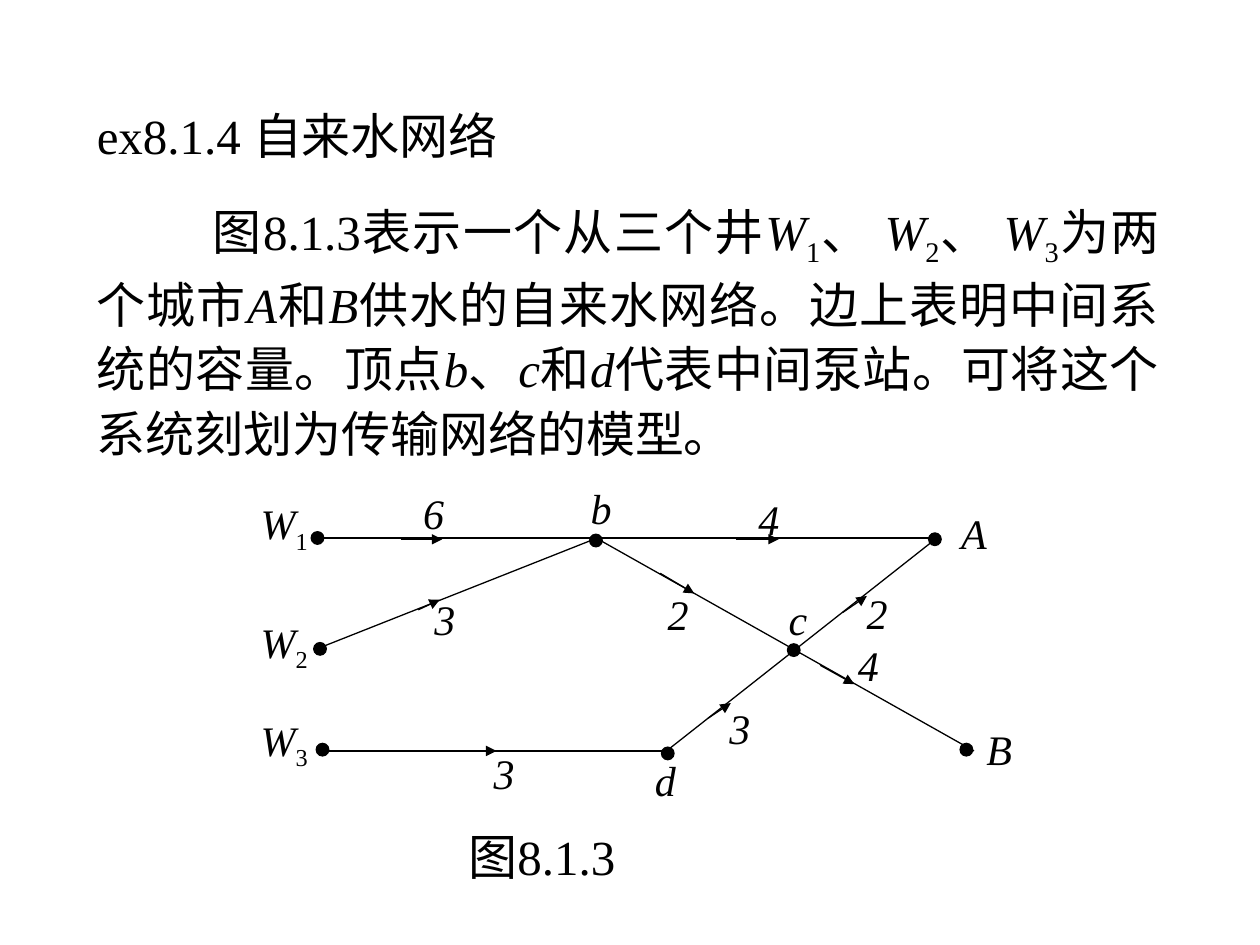
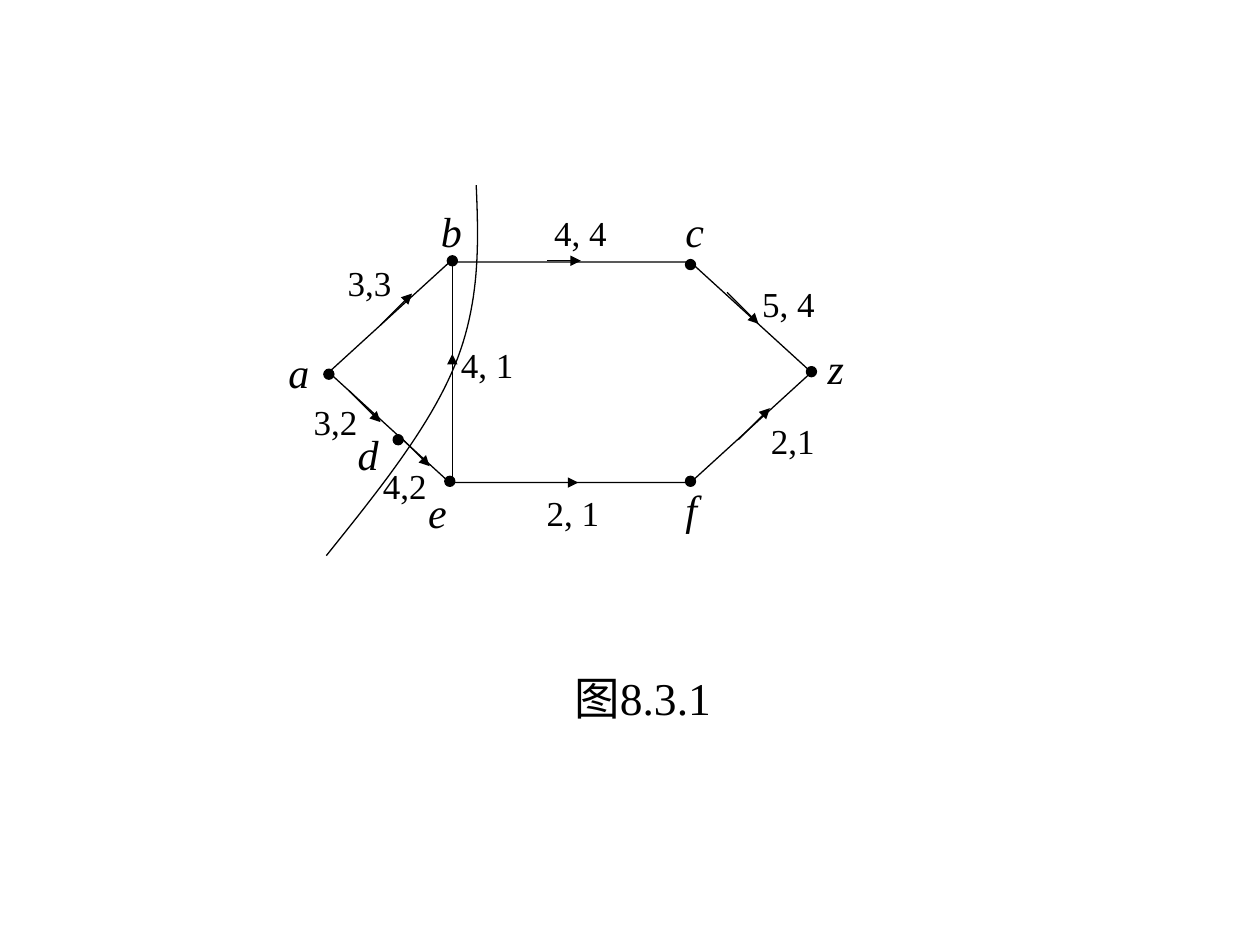
from dataclasses import dataclass

from lxml.etree import SubElement
from pptx import Presentation
from pptx.dml.color import RGBColor
from pptx.enum.shapes import MSO_CONNECTOR as Link, MSO_SHAPE as Kind
from pptx.enum.text import MSO_AUTO_SIZE as Fit, PP_ALIGN as Align
from pptx.oxml.ns import qn
from pptx.util import Inches, Pt


@dataclass(frozen=True)
class Theme:
    ink: RGBColor = RGBColor(0, 0, 0)
    paper: RGBColor = RGBColor(255, 255, 255)
    font: str = "Times New Roman"
    body: int = 28
    small: int = 26
    node: int = 24
    flow: int = 20
    rule: float = 0.75


class Board:
    def __init__(self, deck, theme):
        self.theme = theme
        self.slide = deck.slides.add_slide(deck.slide_layouts[6])
        back = self.slide.background.fill
        back.solid()
        back.fore_color.rgb = theme.paper

    def pen(self, line):
        line.color.rgb = self.theme.ink
        line.width = Pt(self.theme.rule)

    def line(self, x1, y1, x2, y2, arrow=False):
        link = self.slide.shapes.add_connector(
            Link.STRAIGHT, Inches(x1), Inches(y1), Inches(x2), Inches(y2))
        self.pen(link.line)
        if arrow:
            SubElement(link.line._get_or_add_ln(), qn("a:tailEnd"), type="triangle")
        SubElement(link._element.spPr, qn("a:effectLst"))

    def shape(self, kind, x, y, wide, high, solid=False):
        item = self.slide.shapes.add_shape(
            kind, Inches(x), Inches(y), Inches(wide), Inches(high))
        item.shadow.inherit = False
        if solid:
            item.fill.solid()
            item.fill.fore_color.rgb = self.theme.ink
        else:
            item.fill.background()
        self.pen(item.line)
        return item

    def dots(self, spots, size):
        for x, y in spots:
            self.shape(Kind.OVAL, x, y, size, size, solid=True)

    def curve(self, start, bends, steps=24):
        spots = [start]
        for a, b, c in bends:
            o = spots[-1]
            for step in range(1, steps + 1):
                t = step / steps
                u = 1 - t
                spots.append(tuple(
                    u**3 * o[i] + 3 * u * u * t * a[i] + 3 * u * t * t * b[i] + t**3 * c[i]
                    for i in (0, 1)))
        spots = [(Inches(x), Inches(y)) for x, y in spots]
        path = self.slide.shapes.build_freeform(*spots[0])
        path.add_line_segments(spots[1:], close=False)
        item = path.convert_to_shape()
        item.shadow.inherit = False
        item.fill.background()
        self.pen(item.line)

    def fill(self, para, text, size):
        for part in text.split("|"):
            run = para.add_run()
            run.text = part.lstrip("*~")
            run.font.name = self.theme.font
            run.font.size = Pt(size)
            run.font.color.rgb = self.theme.ink
            run.font.italic = part.startswith("*")
            if part.startswith("~"):
                run.font._element.set("baseline", "-25000")

    def text(self, text, x, y, wide, high, size, wrap=False):
        box = self.slide.shapes.add_textbox(
            Inches(x), Inches(y), Inches(wide), Inches(high))
        frame = box.text_frame
        frame.word_wrap = wrap
        frame.auto_size = Fit.SHAPE_TO_FIT_TEXT
        self.fill(frame.paragraphs[0], text, size)
        return frame

    def prose(self, head, body, x, y, wide, high):
        size = self.theme.body
        frame = self.text(head, x, y, wide, high, size, wrap=True)
        para = frame.add_paragraph()
        self.fill(para, body, size)
        para.space_before = Pt(17.5)
        para._p.get_or_add_pPr().set("indent", str(Inches(0.92)))
        for para in frame.paragraphs:
            para.alignment = Align.JUSTIFY
            para.line_spacing = 1.1
            para._p.get_or_add_pPr().set("hangingPunct", "0")

    def names(self, marks):
        for name, x, y, wide in marks:
            self.text("*" + name, x, y, wide, 0.5, self.theme.node)


def water(deck, theme):
    board = Board(deck, theme)
    board.prose(
        "ex8.1.4 自来水网络",
        "图8.1.3表示一个从三个井|*W|~1|、 |*W|~2|、 |*W|~3|为两个城市|*A|和|*B"
        "|供水的自来水网络。边上表明中间系统的容量。顶点|*b|、|*c|和|*d"
        "|代表中间泵站。可将这个系统刻划为传输网络的模型。",
        0.67, 0.74, 8.63, 2.98)
    pipes = [
        (2.53, 4.27, 7.43, 4.27), (2.53, 5.96, 5.29, 5.96),
        (7.41, 4.29, 5.29, 5.96), (4.73, 4.27, 7.73, 5.96),
        (4.74, 4.27, 2.49, 5.16),
    ]
    for pipe in pipes:
        board.line(*pipe)
    board.dots([
        (2.51, 5.9), (2.49, 5.1), (2.47, 4.22), (4.68, 4.24),
        (5.25, 5.93), (6.25, 5.11), (7.62, 5.9), (7.37, 4.23),
    ], 0.1)
    heads = [
        (3.61, 5.96, 3.94, 5.96), (3.18, 4.28, 3.51, 4.28),
        (5.84, 4.28, 6.18, 4.28), (6.51, 5.28, 6.78, 5.43),
        (5.24, 4.55, 5.51, 4.71), (3.32, 4.84, 3.49, 4.76),
        (5.62, 5.7, 5.8, 5.58), (6.69, 4.86, 6.88, 4.73),
    ]
    for head in heads:
        board.line(*head, arrow=True)
    for well, y in enumerate((3.9, 4.84, 5.62), 1):
        board.text(f"*W|~{well}", 1.97, y, 0.59, 0.56, theme.node, wrap=True)
    board.names([
        ("A", 7.53, 3.98, 0.4), ("B", 7.73, 5.69, 0.4),
        ("4", 6.71, 5.03, 0.36), ("2", 6.78, 4.61, 0.36),
        ("4", 5.92, 3.87, 0.36), ("b", 4.59, 3.78, 0.36),
        ("6", 3.26, 3.82, 0.36), ("3", 3.35, 4.66, 0.36),
        ("3", 3.82, 5.88, 0.36), ("d", 5.1, 5.94, 0.36),
        ("3", 5.69, 5.53, 0.36), ("2", 5.2, 4.62, 0.36),
        ("c", 6.16, 4.66, 0.35),
    ])
    board.text("图8.1.3", 3.62, 6.51, 1.46, 0.57, theme.body)


def cut(deck, theme):
    board = Board(deck, theme)
    board.line(3.59, 2.08, 3.59, 3.82)
    ring = board.shape(Kind.HEXAGON, 2.61, 2.08, 3.83, 1.75)
    ring.adjustments[0] = 0.548
    heads = [
        (3.02, 2.58, 3.27, 2.33), (5.86, 3.49, 6.11, 3.24),
        (3.16, 3.45, 3.41, 3.7), (5.77, 2.32, 6.02, 2.57),
        (4.32, 3.83, 4.59, 3.83), (4.34, 2.07, 4.61, 2.07),
        (3.59, 3.05, 3.59, 2.81), (2.77, 3.1, 3.02, 3.35),
    ]
    for head in heads:
        board.line(*head, arrow=True)
    board.dots([
        (3.53, 3.78), (5.44, 3.78), (2.57, 2.93), (3.55, 2.03),
        (5.44, 2.06), (6.4, 2.91), (3.12, 3.45),
    ], 0.08)
    board.names([
        ("z", 6.47, 2.67, 0.41), ("a", 2.19, 2.7, 0.36),
        ("b", 3.4, 1.58, 0.36), ("c", 5.34, 1.58, 0.35),
        ("e", 3.3, 3.81, 0.35), ("f", 5.34, 3.79, 0.29),
        ("d", 2.74, 3.35, 0.36),
    ])
    flows = [
        ("4, 4", 4.3, 1.63, 0.66), ("3,3", 2.66, 2.03, 0.55),
        ("5, 4", 5.95, 2.19, 0.66), ("2,1", 6.02, 3.28, 0.55),
        ("4,2", 2.94, 3.64, 0.55), ("4, 1", 3.56, 2.68, 0.66),
        ("3,2", 2.39, 3.13, 0.55), ("2, 1", 4.24, 3.85, 0.76),
    ]
    for flow in flows:
        board.text(*flow, 0.44, theme.flow, wrap=" " in flow[0])
    board.curve((3.78, 1.47), [
        ((3.8, 1.94), (3.81, 2.41), (3.61, 2.9)),
        ((3.41, 3.39), (3, 3.9), (2.59, 4.41)),
    ])
    board.text("图8.3.1", 4.46, 5.27, 1.37, 0.54, theme.small)


def main():
    deck = Presentation()
    deck.slide_width = Inches(10)
    deck.slide_height = Inches(7.5)
    theme = Theme()
    water(deck, theme)
    cut(deck, theme)
    deck.save("out.pptx")


if __name__ == "__main__":
    main()
